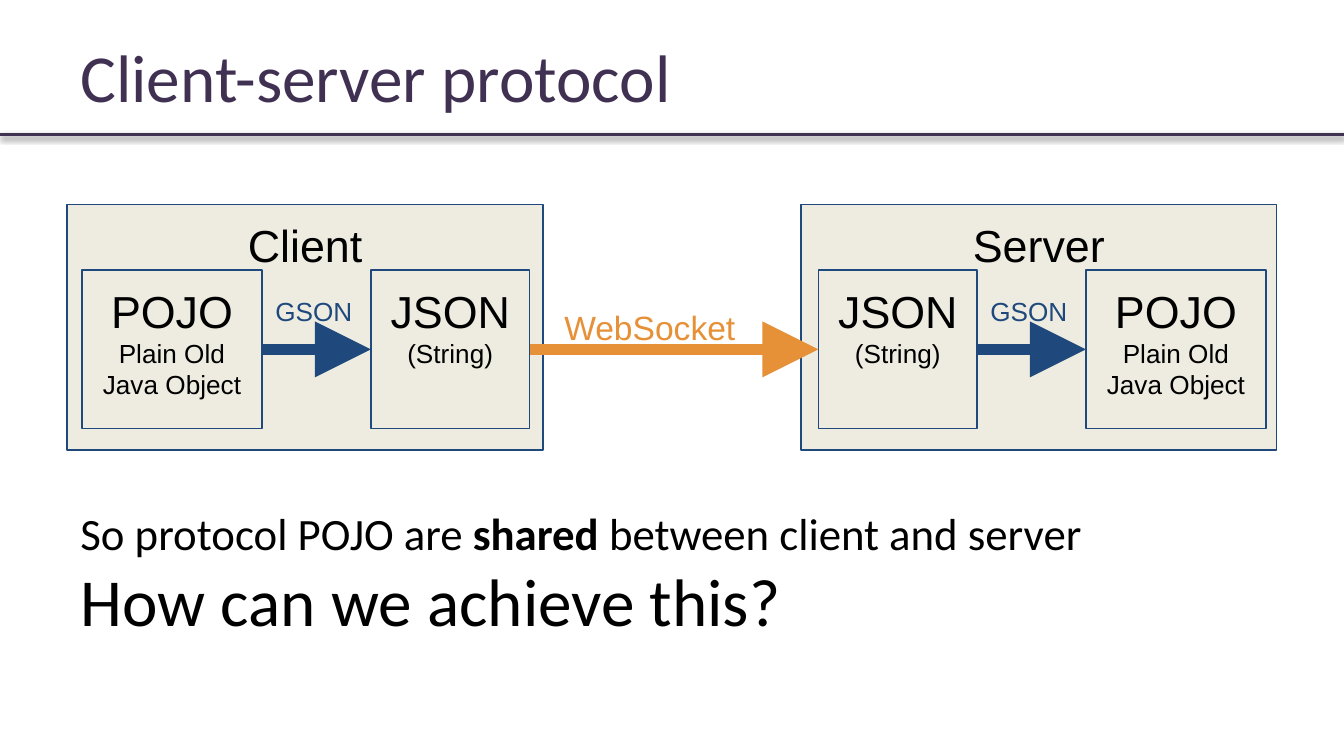
import pptx
import pptx.util
import pptx.dml.color
import pptx.enum.shapes
import pptx.enum.text
import pptx.oxml
import pptx.oxml.ns

Inches, Pt = pptx.util.Inches, pptx.util.Pt
ALIGN, ANCHOR = pptx.enum.text.PP_ALIGN, pptx.enum.text.MSO_ANCHOR

# Content: a line is a list of (text, size name, bold) runs
TITLE = [[("Client-server protocol", "title", False)]]
POJO = [[("POJO", "head", False)], [("Plain Old", "note", False)],
        [("Java Object", "note", False)]]
JSON = [[("JSON", "head", False)], [("(String)", "note", False)]]
SIDES = [("Client", [POJO, JSON]), ("Server", [JSON, POJO])]
CONVERTER = [[("GSON", "note", False)]]
TRANSPORT = [[("WebSocket", "link", False)]]
BODY = [
    [("So protocol POJO are ", "head", False), ("shared", "head", True),
     (" between client and server", "head", False)],
    [("How can we achieve this?", "title", False)],
]

THEME = {
    "title": 36, "head": 24, "link": 18, "note": 14,
    "text": "000000", "heading": "403152", "rule": "3F3151",
    "panel": "EEECE1", "blue": "1F497D", "orange": "E69138",
    "body_font": "Calibri", "diagram_font": "Arial",
}

# Layout in inches, on a 16:9 slide
SLIDE_W = 10
SLIDE_H = SLIDE_W * 9 / 16
MARGIN, RULE_Y = 0.5, 1
PANEL_Y, PANEL_W, PANEL_H = 1.52, 3.54, 1.83
PANEL_X = [MARGIN, SLIDE_W - MARGIN - PANEL_W]
FIRST_BOX_X = [0.61, 6.09]
BOX_Y, BOX_H, GAP = 2.01, 1.18, 0.81
LABEL_H = 0.49
RIGHT, LEFT = 3, 1  # connection sites of a rectangle


def rgb(name):
    return pptx.dml.color.RGBColor.from_string(THEME[name])


def write(s, lines, font="diagram_font", color="text", align=ALIGN.LEFT,
          anchor=ANCHOR.TOP, inset_y=0.1):
    tf = s.text_frame
    tf.word_wrap = True
    tf.vertical_anchor = anchor
    tf.margin_left = tf.margin_right = Inches(0.1)
    tf.margin_top = tf.margin_bottom = Inches(inset_y)
    for i, line in enumerate(lines):
        p = tf.paragraphs[0] if i == 0 else tf.add_paragraph()
        p.alignment = align
        for text, size, bold in line:
            r = p.add_run()
            r.text = text
            r.font.size = Pt(THEME[size])
            r.font.name = THEME[font]
            r.font.bold = bold
            r.font.color.rgb = rgb(color)


def add_text(slide, x, y, w, h, lines, **fmt):
    write(slide.shapes.add_textbox(*map(Inches, (x, y, w, h))), lines, **fmt)


def add_box(slide, x, y, w, h, lines):
    s = slide.shapes.add_shape(pptx.enum.shapes.MSO_SHAPE.RECTANGLE,
                               *map(Inches, (x, y, w, h)))
    s.shadow.inherit = False
    s.fill.solid()
    s.fill.fore_color.rgb = rgb("panel")
    s.line.color.rgb = rgb("blue")
    s.line.width = Pt(0.75)
    write(s, lines, align=ALIGN.CENTER)
    return s


def add_line(slide, x1, y1, x2, y2, color, width):
    c = slide.shapes.add_connector(pptx.enum.shapes.MSO_CONNECTOR.STRAIGHT,
                                   *map(Inches, (x1, y1, x2, y2)))
    c.line.color.rgb = rgb(color)
    c.line.width = Pt(width)
    effects = pptx.oxml.parse_xml(
        f'<a:effectLst {pptx.oxml.ns.nsdecls("a")}/>')
    c.element.spPr.append(effects)
    return c, effects


def add_rule(slide):
    """Line under the title with a soft shadow below it."""
    _, effects = add_line(slide, 0, RULE_Y, SLIDE_W, RULE_Y, "rule", 2)
    effects.append(pptx.oxml.parse_xml(
        f'<a:outerShdw {pptx.oxml.ns.nsdecls("a")} blurRad="{Pt(3.1)}" '
        f'dist="{Pt(1.6)}" dir="5400000" rotWithShape="0">'
        '<a:srgbClr val="000000"><a:alpha val="38000"/></a:srgbClr>'
        '</a:outerShdw>'))


def join(slide, start, end, color):
    """Thick arrow from the right side of one box to the left of the next."""
    c, _ = add_line(slide, 0, 0, 1, 0, color, 6)
    c.begin_connect(start, RIGHT)
    c.end_connect(end, LEFT)
    c.element.spPr.get_or_add_ln().append(pptx.oxml.parse_xml(
        f'<a:tailEnd {pptx.oxml.ns.nsdecls("a")} '
        'type="triangle" w="lg" len="lg"/>'))


def add_side(slide, name, contents, panel_x, box_x):
    add_box(slide, panel_x, PANEL_Y, PANEL_W, PANEL_H,
            [[(name, "head", False)]])
    boxes = []
    for lines in contents:
        if boxes:
            add_text(slide, box_x, 2.1, GAP, LABEL_H, CONVERTER, color="blue")
            box_x += GAP
        w = 1.34 if lines is POJO else 1.18
        boxes.append(add_box(slide, box_x, BOX_Y, w, BOX_H, lines))
        box_x += w
    join(slide, *boxes, "blue")
    return boxes


def main():
    prs = pptx.Presentation()
    prs.slide_width, prs.slide_height = Inches(SLIDE_W), Inches(SLIDE_H)
    slide = prs.slides.add_slide(prs.slide_layouts[6])

    add_rule(slide)
    add_text(slide, MARGIN, 0.23, SLIDE_W - 2 * MARGIN, 0.67, TITLE,
             font="body_font", color="heading", anchor=ANCHOR.MIDDLE,
             inset_y=0.05)
    client, server = [
        add_side(slide, name, contents, panel_x, box_x)
        for (name, contents), panel_x, box_x
        in zip(SIDES, PANEL_X, FIRST_BOX_X)]
    join(slide, client[-1], server[0], "orange")
    add_text(slide, 4.1, 2.18, 1.59, LABEL_H, TRANSPORT, color="orange")
    add_text(slide, MARGIN, 3.66, 8.05, 0.83, BODY, font="body_font")

    prs.save("out.pptx")


if __name__ == "__main__":
    main()
